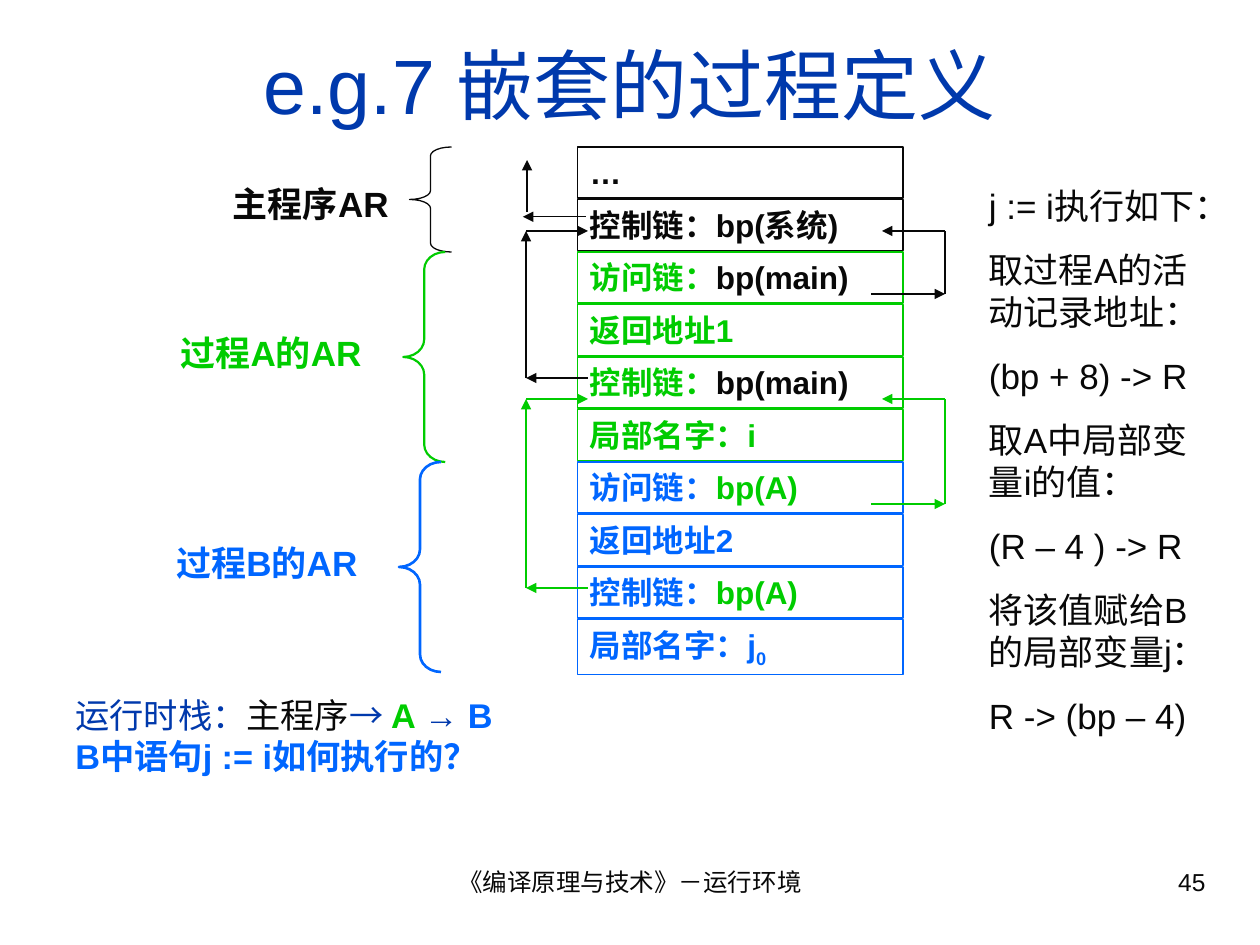
import pptx
import pptx.dml.color
import pptx.enum.shapes
import pptx.enum.text
import pptx.oxml
import pptx.oxml.ns
import pptx.util

SHAPES = pptx.enum.shapes.MSO_SHAPE
ALIGN = pptx.enum.text.PP_ALIGN
ANCHOR = pptx.enum.text.MSO_ANCHOR
COLORS = {
    "black": "080808",
    "green": "00CC00",
    "blue": "0066FF",
    "navy": "0039AC",
}
FONT = "Arial"
NAMESPACE = pptx.oxml.ns.nsdecls("a")


def color(name):
    return pptx.dml.color.RGBColor.from_string(COLORS[name])


class StackSlide:
    """Draws on a grid of 120 columns by 90 rows."""

    def __init__(self, presentation):
        self.column = presentation.slide_width / 120
        self.row = presentation.slide_height / 90
        self.slide = presentation.slides.add_slide(presentation.slide_layouts[5])

    def place(self, left, top, width, height):
        return (round(left * self.column), round(top * self.row),
                round(width * self.column), round(height * self.row))

    def set_runs(self, paragraph, runs, size, bold=False, align=ALIGN.LEFT, before=0):
        """Each run is (text, colour) or (text, colour, override)."""
        paragraph.alignment = align
        paragraph.space_before = pptx.util.Pt(before)
        paragraph.font.name = FONT
        paragraph.font.size = pptx.util.Pt(size)
        paragraph.font.bold = bold
        for text, name, *overrides in runs:
            if text == "\n":
                paragraph.add_line_break()
                continue
            run = paragraph.add_run()
            run.text = text
            run.font.color.rgb = color(name)
            if "bold" in overrides:
                run.font.bold = True
            if "subscript" in overrides:
                run.font._element.set("baseline", "-25000")

    def title(self, box, text):
        title = self.slide.shapes.title
        title.left, title.top, title.width, title.height = self.place(*box)
        title.text_frame.vertical_anchor = ANCHOR.MIDDLE
        self.set_runs(title.text_frame.paragraphs[0], [(text, "navy")], 44,
                      align=ALIGN.CENTER)

    def text(self, box, paragraphs, size, anchor=ANCHOR.TOP, **style):
        shape = self.slide.shapes.add_textbox(*self.place(*box))
        frame = shape.text_frame
        frame.word_wrap = True
        frame.vertical_anchor = anchor
        for index, runs in enumerate(paragraphs):
            paragraph = frame.add_paragraph() if index else frame.paragraphs[0]
            self.set_runs(paragraph, runs, size, **style)

    def outline(self, preset, box, name, weight):
        shape = self.slide.shapes.add_shape(preset, *self.place(*box))
        shape.shadow.inherit = False
        shape.fill.background()
        shape.line.color.rgb = color(name)
        shape.line.width = pptx.util.Pt(weight)
        return shape

    def cell(self, box, name, runs):
        frame = self.outline(SHAPES.RECTANGLE, box, name, 1).text_frame
        frame.word_wrap = True
        frame.vertical_anchor = ANCHOR.TOP
        self.set_runs(frame.paragraphs[0], runs, 18, bold=True, before=11.2)

    def brace(self, box, name, weight):
        shape = self.outline(SHAPES.LEFT_BRACE, box, name, weight)
        shape.adjustments[0] = 0.0833 * box[3] / box[2]

    def line(self, start, end, name, weight, arrow=True):
        connector = self.slide.shapes.add_connector(
            pptx.enum.shapes.MSO_CONNECTOR.STRAIGHT,
            *self.place(*start, *end))
        connector.line.color.rgb = color(name)
        connector.line.width = pptx.util.Pt(weight)
        properties = connector._element.spPr
        if arrow:
            properties.get_or_add_ln().append(pptx.oxml.parse_xml(
                f'<a:tailEnd {NAMESPACE} type="triangle"/>'))
        properties.append(pptx.oxml.parse_xml(f"<a:effectLst {NAMESPACE}/>"))

    def route(self, points, name, weight, heads):
        """Joins points in turn; heads tells which segments have arrowheads."""
        for start, end, arrow in zip(points, points[1:], heads):
            self.line(start, end, name, weight, arrow)


def main():
    presentation = pptx.Presentation()
    presentation.slide_width = pptx.util.Inches(10)
    presentation.slide_height = pptx.util.Inches(7.5)
    page = StackSlide(presentation)

    page.title((4, 3, 112, 10), "e.g.7 嵌套的过程定义")

    # Footer and slide number
    page.text((41, 82, 38, 6.25), [[("《编译原理与技术》－运行环境", "black")]], 14,
              align=ALIGN.CENTER)
    page.text((86, 82, 30, 6.25), [[("45", "black")]], 14, align=ALIGN.RIGHT)

    # Runtime stack, one cell every five rows
    cells = [
        ("black", [("…", "black")]),
        ("black", [("控制链：bp(系统)", "black")]),
        ("green", [("访问链：", "green"), ("bp(main)", "black")]),
        ("green", [("返回地址1", "green")]),
        ("green", [("控制链：", "green"), ("bp(main)", "black")]),
        ("green", [("局部名字：i", "green")]),
        ("blue", [("访问链：", "blue"), ("bp(A)", "green")]),
        ("blue", [("返回地址2", "blue")]),
        ("blue", [("控制链：", "blue"), ("bp(A)", "green")]),
        ("blue", [("局部名字：j", "blue"), ("0", "blue", "subscript")]),
    ]
    for index, (name, runs) in enumerate(cells):
        height = 5.25 if index == len(cells) - 1 else 4.85
        page.cell((55, 14 + 5 * index, 31, height), name, runs)

    # Control links on the left
    for name, bottom, top in [("green", 56, 38), ("black", 36, 22)]:
        page.route([(56, bottom), (50.1, bottom), (50.1, top), (56, top)],
                   name, 1.25, (True, True, True))
    page.line((55.8, 20.65), (49.8, 20.65), "black", 0.75)
    page.line((50.2, 20.2), (50.2, 15.25), "black", 0.75)

    # Access links on the right
    for name, bottom, top in [("green", 48, 38), ("black", 28, 22)]:
        page.route([(83, bottom), (90, bottom), (90, top), (84, top)],
                   name, 1, (True, False, True))

    # Activation records: brace and label
    records = [
        ("主程序AR", "black", (39, 14, 4, 10), 0.75, (21, 16.8, 19, 5.25)),
        ("过程A的AR", "green", (38.4, 24, 4, 20), 1.25, (16, 31, 23, 5.25)),
        ("过程B的AR", "blue", (38, 44, 4, 20), 1.5, (15.6, 51, 23, 5.25)),
    ]
    for label, name, brace_box, weight, label_box in records:
        page.brace(brace_box, name, weight)
        page.text(label_box, [[(label, name)]], 20, bold=True, before=12.5)

    # Call order and question
    page.text((6, 65, 112, 10), [[
        ("运行时栈：", "navy"), ("主程序", "black"), ("→ ", "navy"),
        ("A ", "green", "bold"), ("→ ", "navy"), ("B", "blue", "bold"),
        ("\n", "blue"), ("B中语句j := i如何执行的？", "blue", "bold"),
    ]], 19.6, anchor=ANCHOR.MIDDLE)

    # Steps of the assignment
    steps = ["j := i执行如下：", "取过程A的活动记录地址：", "(bp + 8) -> R",
             "取A中局部变量i的值：", "(R – 4 ) -> R", "将该值赋给B的局部变量j：",
             "R -> (bp – 4)"]
    page.text((93, 17, 24, 53.75), [[(step, "black")] for step in steps], 20,
              before=12.5)

    presentation.save("out.pptx")


if __name__ == "__main__":
    main()
